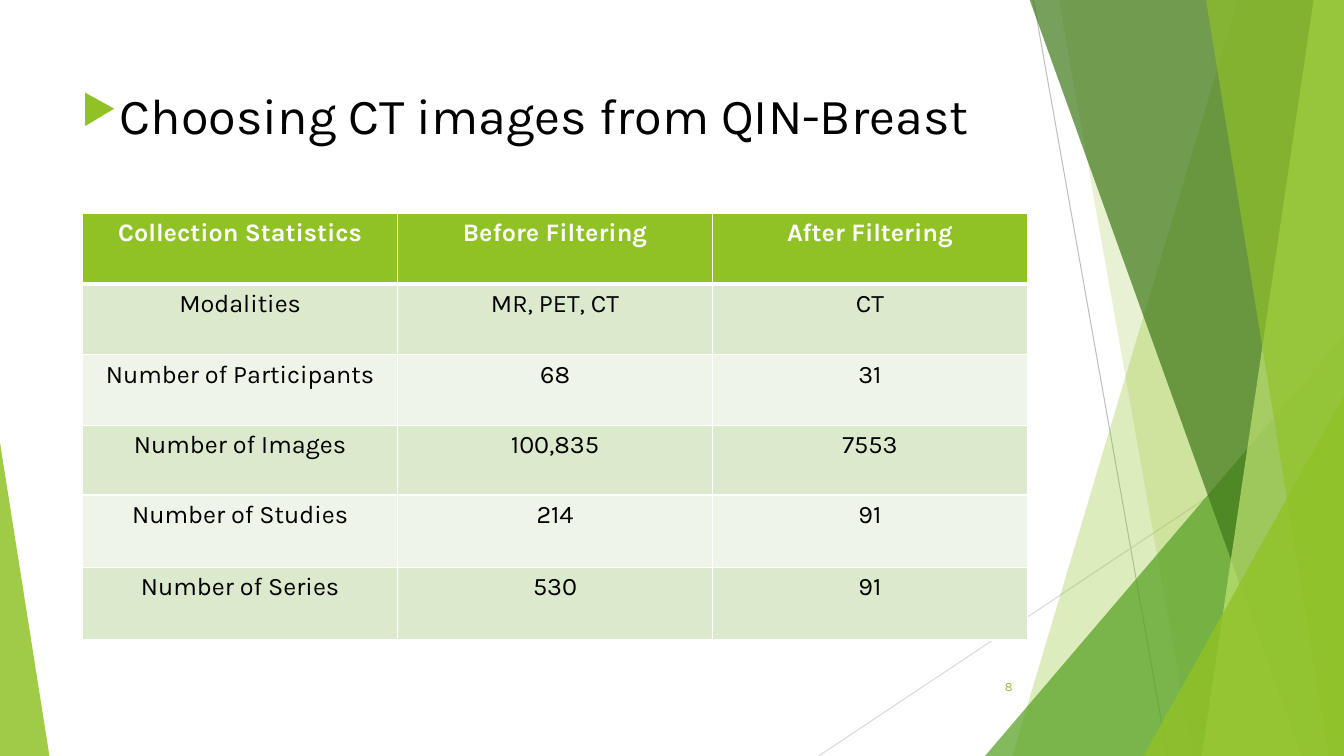
import lxml.etree
import pptx
import pptx.dml.color
import pptx.enum.shapes
import pptx.enum.text
import pptx.oxml.ns
import pptx.util

Inches = pptx.util.Inches
Pt = pptx.util.Pt
RGBColor = pptx.dml.color.RGBColor
Align = pptx.enum.text.PP_ALIGN
Anchor = pptx.enum.text.MSO_ANCHOR
qn = pptx.oxml.ns.qn

WHITE = RGBColor(0xFF, 0xFF, 0xFF)
BLACK = RGBColor(0, 0, 0)
LIME = RGBColor(0x90, 0xC2, 0x26)
GREEN = RGBColor(0x54, 0xA0, 0x21)
FOREST = RGBColor(0x3F, 0x78, 0x19)
PALE_LIME = RGBColor(0xC0, 0xE4, 0x74)
BAND_DARK = RGBColor(0xDB, 0xE9, 0xCD)
BAND_LIGHT = RGBColor(0xEE, 0xF4, 0xE8)
GRAY = RGBColor(0xBF, 0xBF, 0xBF)
LIGHT_GRAY = RGBColor(0xD9, 0xD9, 0xD9)

WIDTH, HEIGHT, TOP = 13.33, 7.5, -0.01
STATISTICS = [
    ("Collection Statistics", "Before Filtering", "After Filtering"),
    ("Modalities", "MR, PET, CT", "CT"),
    ("Number of Participants", "68", "31"),
    ("Number of Images", "100,835", "7553"),
    ("Number of Studies", "214", "91"),
    ("Number of Series", "530", "91"),
]
ROW_HEIGHTS = (0.7, 0.7, 0.7, 0.69, 0.72, 0.72)


def add_element(parent, tag, **attributes):
    return lxml.etree.SubElement(parent, qn(tag), attributes)


class SlideBuilder:
    """Draws styled elements on the current slide."""

    font_name = "Karla"

    def __init__(self, page):
        self.page = page

    def line(self, start, end, color):
        connector = self.page.shapes.add_connector(
            pptx.enum.shapes.MSO_CONNECTOR.STRAIGHT,
            *(Inches(value) for value in start + end))
        connector.line.color.rgb = color
        connector.line.width = Pt(0.75)
        add_element(connector._element.spPr, "a:effectLst")

    def paint(self, shape, color, opacity):
        shape.shadow.inherit = False
        shape.line.fill.background()
        shape.fill.solid()
        shape.fill.fore_color.rgb = color
        tint = shape._element.spPr.find(qn("a:solidFill"))[0]
        add_element(tint, "a:alpha", val=str(opacity * 1000))

    def ribbon(self, top_left, bottom_left, color, opacity):
        corners = [(top_left, TOP), (WIDTH, TOP), (WIDTH, HEIGHT), (bottom_left, HEIGHT)]
        points = [(Inches(x), Inches(y)) for x, y in corners]
        builder = self.page.shapes.build_freeform(*points[0])
        builder.add_line_segments(points[1:], close=True)
        self.paint(builder.convert_to_shape(), color, opacity)

    def triangle(self, left, top, width, apex, color, opacity):
        shape = self.page.shapes.add_shape(
            pptx.enum.shapes.MSO_SHAPE.ISOSCELES_TRIANGLE,
            Inches(left), Inches(top), Inches(width), Inches(HEIGHT - top))
        shape.adjustments[0] = apex
        self.paint(shape, color, opacity)

    def format_text(self, para, size, color, align, bold=False):
        para.alignment = align
        for span in para.runs:
            span.font.name = self.font_name
            span.font.size = Pt(size)
            span.font.bold = bold
            span.font.color.rgb = color

    def text(self, text, left, top, width, height, size, color,
             align=Align.LEFT, anchor=Anchor.TOP, bullet=None):
        box = self.page.shapes.add_textbox(
            Inches(left), Inches(top), Inches(width), Inches(height))
        frame = box.text_frame
        frame.word_wrap = True
        frame.vertical_anchor = anchor
        frame.text = text
        para = frame.paragraphs[0]
        if bullet:
            properties = para._p.get_or_add_pPr()
            properties.set("marL", str(Inches(0.38)))
            properties.set("indent", str(Inches(-0.38)))
            add_element(add_element(properties, "a:buClr"), "a:srgbClr", val=str(LIME))
            add_element(properties, "a:buSzPct", val="80000")
            add_element(properties, "a:buChar", char=bullet)
        self.format_text(para, size, color, align)

    def border(self, cell, side, width):
        edge = add_element(cell._tc.get_or_add_tcPr(), "a:ln" + side, w=str(Pt(width)))
        add_element(add_element(edge, "a:solidFill"), "a:srgbClr", val=str(WHITE))

    def table(self, rows, heights, left, top, width):
        table = self.page.shapes.add_table(
            len(rows), len(rows[0]), Inches(left), Inches(top),
            Inches(width), Inches(sum(heights))).table
        for row, height in zip(table.rows, heights):
            row.height = Inches(height)
        for i, labels in enumerate(rows):
            header = i == 0
            fill = LIME if header else BAND_DARK if i % 2 else BAND_LIGHT
            for j, label in enumerate(labels):
                cell = table.cell(i, j)
                for side in "LRTB":
                    thick = (i, side) in ((0, "B"), (1, "T"))
                    self.border(cell, side, 3 if thick else 1)
                cell.fill.solid()
                cell.fill.fore_color.rgb = fill
                cell.text_frame.text = label
                self.format_text(cell.text_frame.paragraphs[0], 18,
                                 WHITE if header else BLACK, Align.CENTER, header)


def main():
    deck = pptx.Presentation()
    deck.slide_width, deck.slide_height = Inches(WIDTH), Inches(HEIGHT)
    slide = SlideBuilder(deck.slides.add_slide(deck.slide_layouts[6]))

    slide.line((10.25, 0), (11.58, HEIGHT), GRAY)
    slide.line((WIDTH, 4.03), (8.12, HEIGHT), LIGHT_GRAY)
    slide.ribbon(12.28, 10.04, LIME, 30)
    slide.ribbon(10.5, 11.83, LIME, 20)
    slide.triangle(9.77, 3.33, 3.56, 1, GREEN, 72)
    slide.ribbon(10.21, 12.91, FOREST, 70)
    slide.ribbon(13.03, 11.92, PALE_LIME, 70)
    slide.ribbon(11.96, 13.18, LIME, 65)
    slide.triangle(11.34, 3.93, 1.99, 1, LIME, 80)
    slide.triangle(0, 4.39, 0.49, 0, LIME, 85)

    slide.text("Choosing CT images from QIN-Breast", 0.71, 0.79, 10.06, 5.83,
               36, BLACK, bullet="▶")
    slide.text("8", 9.39, 6.61, 0.75, 0.4, 9, LIME, Align.RIGHT, Anchor.MIDDLE)
    slide.table(STATISTICS, ROW_HEIGHTS, 0.82, 2.12, 9.37)
    deck.save("out.pptx")


if __name__ == "__main__":
    main()
